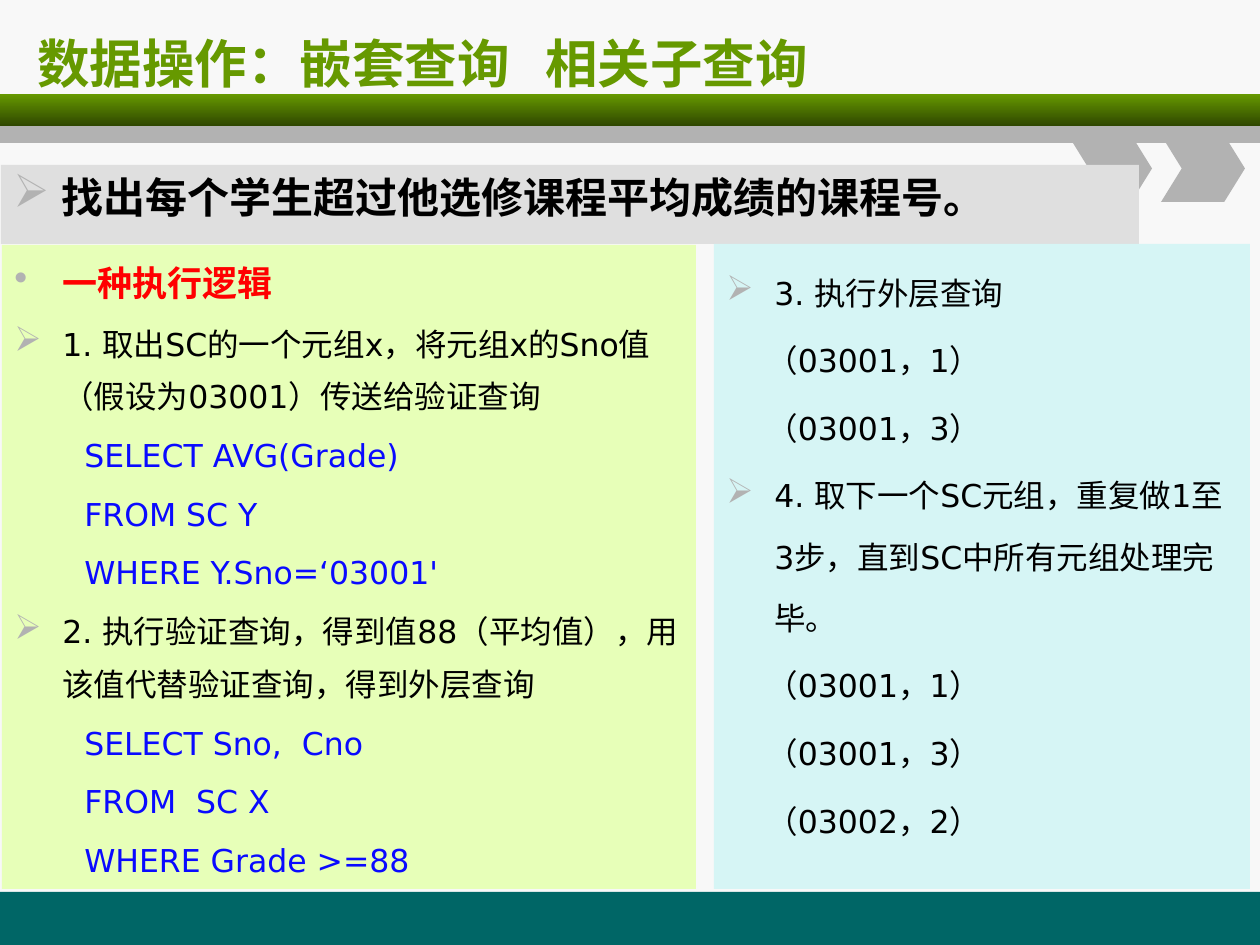
from lxml.etree import SubElement
from pptx import Presentation
from pptx.dml.color import RGBColor
from pptx.enum.shapes import MSO_SHAPE as SHAPE
from pptx.enum.text import MSO_ANCHOR as ANCHOR
from pptx.oxml.ns import qn
from pptx.util import Emu, Pt

SCALE = 914400 / 126
FONT = "DejaVu Sans"
HANGING = 48

BACKGROUND = RGBColor(0xF8, 0xF8, 0xF8)
GREEN = RGBColor(0x66, 0x99, 0x00)
DARK_GREEN = RGBColor(0x2F, 0x47, 0x00)
TEAL = RGBColor(0x00, 0x66, 0x66)
GRAY = RGBColor(0xB2, 0xB2, 0xB2)
LIGHT_GRAY = RGBColor(0xDF, 0xDF, 0xDF)
LIME = RGBColor(0xE7, 0xFF, 0xB8)
AQUA = RGBColor(0xD6, 0xF5, 0xF5)
BLACK = RGBColor(0x00, 0x00, 0x00)
RED = RGBColor(0xFF, 0x00, 0x00)
BLUE = RGBColor(0x0A, 0x0A, 0xFF)

ARROW = "➢"
DOT = "•"

QUESTION = "找出每个学生超过他选修课程平均成绩的课程号。"
VERIFY_STEPS = [
    ("1. 取出SC的一个元组x，将元组x的Sno值（假设为03001）传送给验证查询",
     ["SELECT AVG(Grade)", "FROM SC Y", "WHERE Y.Sno=‘03001'"]),
    ("2. 执行验证查询，得到值88（平均值），用该值代替验证查询，得到外层查询",
     ["SELECT Sno,  Cno", "FROM  SC X", "WHERE Grade >=88"]),
]
OUTER_STEPS = [
    ("3. 执行外层查询", ["（03001，1）", "（03001，3）"]),
    ("4. 取下一个SC元组，重复做1至3步，直到SC中所有元组处理完毕。",
     ["（03001，1）", "（03001，3）", "（03002，2）"]),
]


def px(length):
    return Emu(round(length * SCALE))


def add_block(slide, left, top, width, height, color, kind=SHAPE.RECTANGLE):
    block = slide.shapes.add_shape(kind, px(left), px(top), px(width), px(height))
    block.shadow.inherit = False
    block.fill.solid()
    block.fill.fore_color.rgb = color
    block.line.fill.background()
    frame = block.text_frame
    frame.word_wrap = True
    frame.vertical_anchor = ANCHOR.TOP
    return block


def add_text(frame, text, size=18, color=BLACK, bold=False, bullet=None,
             indent=0, line_pt=None):
    """Write one paragraph, using the empty first paragraph if it is free."""
    paragraph = frame.paragraphs[0]
    if paragraph.runs:
        paragraph = frame.add_paragraph()
    paragraph.space_before = Pt(size * 0.2)
    if line_pt:
        paragraph.line_spacing = Pt(line_pt)
    properties = paragraph._p.get_or_add_pPr()
    properties.set("algn", "l")
    properties.set("marL", str(px(HANGING if bullet else indent)))
    if bullet:
        properties.set("indent", str(-px(HANGING)))
        bullet_color = SubElement(properties, qn("a:buClr"))
        SubElement(bullet_color, qn("a:srgbClr")).set("val", str(GRAY))
        SubElement(properties, qn("a:buSzPct")).set("val", "110000")
        SubElement(properties, qn("a:buChar")).set("char", bullet)
    run = paragraph.add_run()
    run.text = text
    run.font.name = FONT
    run.font.size = Pt(size)
    run.font.bold = bold
    run.font.color.rgb = color


def add_steps(frame, steps, line_pt, detail_indent, detail_color):
    for step, details in steps:
        add_text(frame, step, bullet=ARROW, line_pt=line_pt)
        for detail in details:
            add_text(frame, detail, color=detail_color, indent=detail_indent,
                     line_pt=line_pt)


def add_decoration(slide):
    add_block(slide, 0, 892, 1260, 53, TEAL)
    band = add_block(slide, 0, 94, 1260, 32, GREEN)
    band.fill.gradient()
    band.fill.gradient_angle = 270
    for stop, color in zip(band.fill.gradient_stops, (GREEN, DARK_GREEN)):
        stop.color.rgb = color
    add_block(slide, 0, 126, 1260, 17, GRAY)
    for left in (1068, 1161):
        chevron = add_block(slide, left, 135, 84, 67, GRAY, SHAPE.CHEVRON)
        chevron.adjustments[0] = 0.31


def add_title(slide, text):
    frame = slide.shapes.add_textbox(px(25), px(21), px(1203), px(84)).text_frame
    frame.word_wrap = True
    frame.vertical_anchor = ANCHOR.MIDDLE
    add_text(frame, text, size=30, color=GREEN, bold=True)


def main():
    deck = Presentation()
    deck.slide_width, deck.slide_height = px(1260), px(945)
    slide = deck.slides.add_slide(deck.slide_layouts[6])
    slide.background.fill.solid()
    slide.background.fill.fore_color.rgb = BACKGROUND

    add_decoration(slide)
    add_title(slide, "数据操作：嵌套查询   相关子查询")

    question = add_block(slide, 1, 165, 1138, 79, LIGHT_GRAY).text_frame
    add_text(question, QUESTION, size=24, bold=True, bullet=ARROW)

    verify = add_block(slide, 2, 245, 694, 644, LIME).text_frame
    add_text(verify, "一种执行逻辑", size=20, color=RED, bold=True,
             bullet=DOT, line_pt=30)
    add_steps(verify, VERIFY_STEPS, 30, 70, BLUE)

    outer = add_block(slide, 714, 244, 536, 645, AQUA).text_frame
    add_steps(outer, OUTER_STEPS, 35, 40, BLACK)

    deck.save("out.pptx")


if __name__ == "__main__":
    main()
